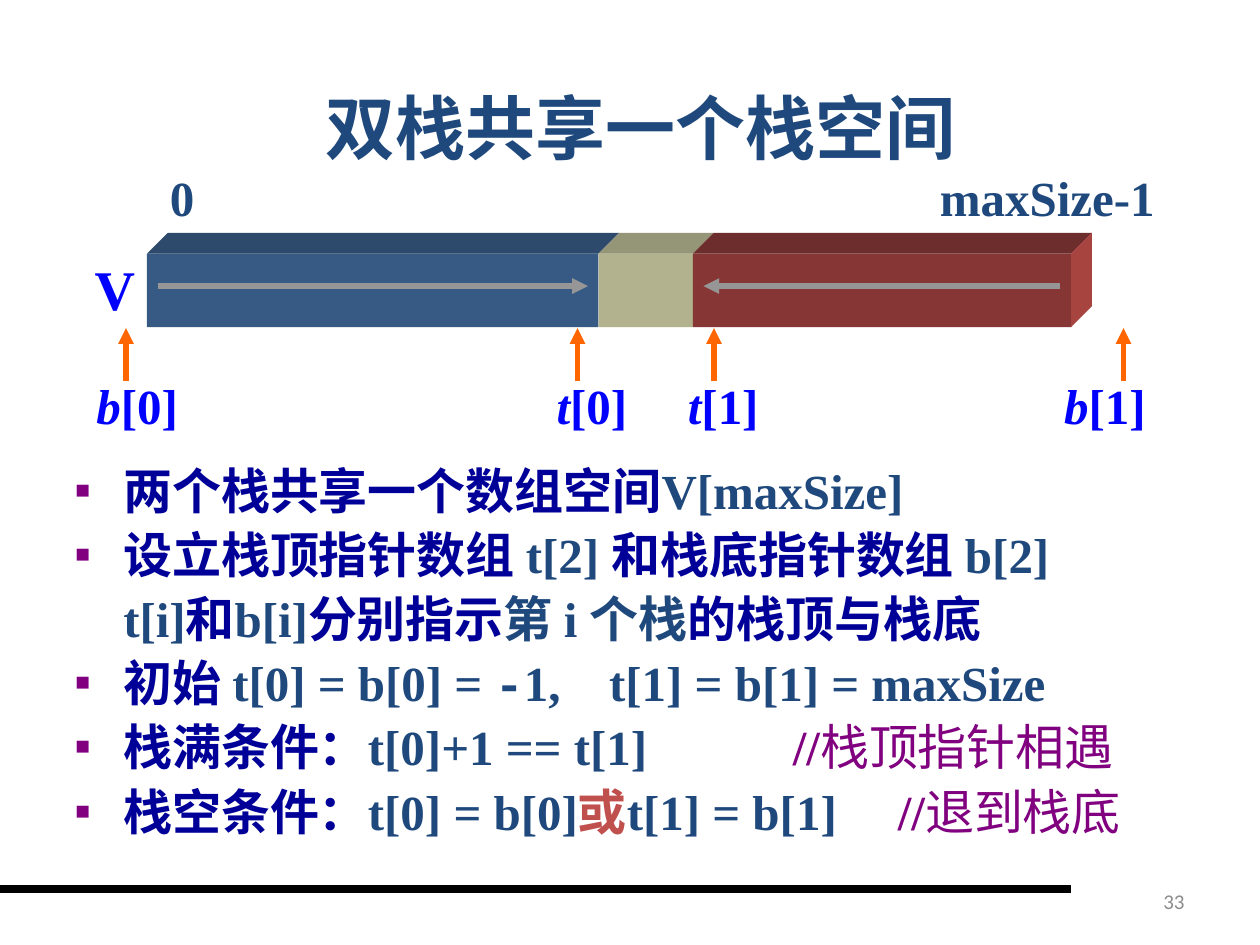
"""Build the slide on two stacks sharing one array."""
from lxml.etree import SubElement
from pptx import Presentation
from pptx.dml.color import RGBColor
from pptx.enum.shapes import MSO_CONNECTOR, MSO_SHAPE
from pptx.enum.text import MSO_ANCHOR, PP_ALIGN
from pptx.oxml.ns import qn
from pptx.util import Pt

NAVY = RGBColor(0x1F, 0x49, 0x7D)
INK = RGBColor(0x00, 0x00, 0x99)
BLUE = RGBColor(0x00, 0x00, 0xFF)
PURPLE = RGBColor(0x80, 0x00, 0x80)
RED = RGBColor(0xC0, 0x50, 0x4D)
ORANGE = RGBColor(0xFF, 0x66, 0x00)
GRAY = RGBColor(0x96, 0x96, 0x96)
NUMBER_GRAY = RGBColor(0x8C, 0x8C, 0x8C)
BLACK = RGBColor(0x00, 0x00, 0x00)
SIDE_RED = RGBColor(0xA8, 0x44, 0x40)
SERIF = "Times New Roman"

SEGMENTS = [
    (258, RGBColor(0x37, 0x5A, 0x85), RGBColor(0x2D, 0x4A, 0x6C)),
    (54, RGBColor(0xB2, 0xB2, 0x8E), RGBColor(0x95, 0x95, 0x77)),
    (216, RGBColor(0x86, 0x37, 0x35), RGBColor(0x6E, 0x2D, 0x2D)),
]
ARRAY_LEFT, ARRAY_TOP, ARRAY_HEIGHT, DEPTH = 84, 145, 42, 12
POINTER_XS = [72, 330, 408, 642]
GROWTH = [(90, 336), (606, 402)]
GROWTH_Y = 163.5

POINTERS = [("b", "[0]\t"), ("t", "[0]\t"), ("t", "[1]\t"), ("b", "[1]")]
POINTER_TABS = [263, 338, 553]
INDENT = 27.36
POINTS = [
    (True, [], [("两个", INK, {"name": "Arial"}), ("栈共享一个数组空间", INK, {}),
                ("V[maxSize]", NAVY, {})]),
    (True, [], [("设立栈顶指针数组 ", INK, {}), ("t[2] ", NAVY, {}),
                ("和栈底指针数组 ", INK, {}), ("b[2]", NAVY, {})]),
    (False, [], [("t[i]", NAVY, {}), ("和", INK, {}), ("b[i]", NAVY, {}),
                 ("分别指示", INK, {}), ("第 i 个栈", NAVY, {}),
                 ("的栈顶与栈底", INK, {})]),
    (True, [305], [("初始 ", INK, {}), ("t[0] = b[0] = ", NAVY, {}),
                   ("-", NAVY, {"name": "Courier New"}),
                   ("1,\tt[1] = b[1] = maxSize", NAVY, {})]),
    (True, [410], [("栈满条件：", INK, {}), ("t[0]+1 == t[1]\t", NAVY, {}),
                   ("//", PURPLE, {}), ("栈顶指针相遇", PURPLE, {"bold": False})]),
    (True, [470], [("栈空条件：", INK, {}), ("t[0] = b[0]", NAVY, {}),
                   ("或", RED, {}), ("t[1] = b[1]\t", NAVY, {}), ("//", PURPLE, {}),
                   ("退到栈底", PURPLE, {"name": "Arial", "bold": False})]),
]


def add_box(shapes, left, top, width, height, wrap=False):
    frame = shapes.add_textbox(Pt(left), Pt(top), Pt(width), Pt(height)).text_frame
    frame.word_wrap = wrap
    return frame


def add_run(paragraph, text, color, size=28, name=SERIF, bold=True, italic=False):
    run = paragraph.add_run()
    run.text = text
    font = run.font
    font.size, font.name, font.bold, font.italic = Pt(size), name, bold, italic
    font.color.rgb = color


def add_tabs(paragraph, stops):
    tabs = SubElement(paragraph._p.get_or_add_pPr(), qn("a:tabLst"))
    for stop in stops:
        SubElement(tabs, qn("a:tab"), pos=str(Pt(stop)), algn="l")


def add_bullet(paragraph):
    props = paragraph._p.get_or_add_pPr()
    SubElement(SubElement(props, qn("a:buClr")), qn("a:srgbClr"), val=str(PURPLE))
    SubElement(props, qn("a:buSzPct"), val="50000")
    SubElement(props, qn("a:buFont"), typeface="Arial")
    SubElement(props, qn("a:buChar"), char="■")


def add_line(shapes, start, end, color, width, arrow=True):
    line = shapes.add_connector(MSO_CONNECTOR.STRAIGHT, *map(Pt, start + end))
    line.line.color.rgb = color
    line.line.width = Pt(width)
    if arrow:
        SubElement(line.line._get_or_add_ln(), qn("a:tailEnd"), type="triangle")
    SubElement(line._element.spPr, qn("a:effectLst"))


def paint(shape, color):
    shape.shadow.inherit = False
    shape.fill.solid()
    shape.fill.fore_color.rgb = color
    shape.line.fill.background()


def add_face(shapes, corners, color):
    (first_x, first_y), *others = corners
    builder = shapes.build_freeform(Pt(first_x), Pt(first_y))
    builder.add_line_segments([(Pt(x), Pt(y)) for x, y in others])
    paint(builder.convert_to_shape(), color)


def add_array(shapes):
    left, top, bottom = ARRAY_LEFT, ARRAY_TOP, ARRAY_TOP + ARRAY_HEIGHT
    for width, front, lid in SEGMENTS:
        right = left + width
        paint(shapes.add_shape(MSO_SHAPE.RECTANGLE, Pt(left), Pt(top),
                               Pt(width), Pt(ARRAY_HEIGHT)), front)
        add_face(shapes, [(left, top), (left + DEPTH, top - DEPTH),
                          (right + DEPTH, top - DEPTH), (right, top)], lid)
        left = right
    add_face(shapes, [(left, top), (left + DEPTH, top - DEPTH),
                      (left + DEPTH, bottom - DEPTH), (left, bottom)], SIDE_RED)


def add_points(shapes):
    frame = add_box(shapes, 36, 257.76, 647.28, 241.92, wrap=True)
    for index, (bulleted, stops, runs) in enumerate(POINTS):
        paragraph = frame.add_paragraph() if index else frame.paragraphs[0]
        props = paragraph._p.get_or_add_pPr()
        props.set("marL", str(Pt(INDENT)))
        props.set("indent", str(Pt(-INDENT if bulleted else 0)))
        paragraph.line_spacing = 1.05
        if index:
            paragraph.space_before = Pt(1.4)
        if bulleted:
            add_bullet(paragraph)
        if stops:
            add_tabs(paragraph, stops)
        for text, color, style in runs:
            add_run(paragraph, text, color, **style)


def main():
    deck = Presentation()
    deck.slide_width, deck.slide_height = Pt(720), Pt(540)
    shapes = deck.slides.add_slide(deck.slide_layouts[6]).shapes

    add_line(shapes, (0, 508), (612, 508), BLACK, 4.5, arrow=False)
    number = add_box(shapes, 516, 500.5, 168, 28.75, wrap=True)
    number.vertical_anchor = MSO_ANCHOR.MIDDLE
    number.paragraphs[0].alignment = PP_ALIGN.RIGHT
    add_run(number.paragraphs[0], "33", NUMBER_GRAY, 12, "Calibri", bold=False)

    title = add_box(shapes, 42, 42.5, 648, 57.6, wrap=True).paragraphs[0]
    title.alignment = PP_ALIGN.CENTER
    title.line_spacing = 1.05
    add_run(title, "双栈共享一个栈空间", NAVY, 40)

    pointers = add_box(shapes, 48, 211, 616, 41).paragraphs[0]
    add_tabs(pointers, POINTER_TABS)
    for letter, index in POINTERS:
        add_run(pointers, letter, BLUE, italic=True)
        add_run(pointers, index, BLUE)
    for x in POINTER_XS:
        add_line(shapes, (x, 217.5), (x, 187.5), ORANGE, 3)

    add_array(shapes)
    bounds = add_box(shapes, 90, 92, 578, 41).paragraphs[0]
    add_tabs(bounds, [440])
    add_run(bounds, "0\tmaxSize-1", NAVY)
    add_run(add_box(shapes, 47, 142, 37, 45).paragraphs[0], "V", BLUE, 32)
    for start, end in GROWTH:
        add_line(shapes, (start, GROWTH_Y), (end, GROWTH_Y), GRAY, 3)
    add_points(shapes)
    deck.save("out.pptx")


if __name__ == "__main__":
    main()
